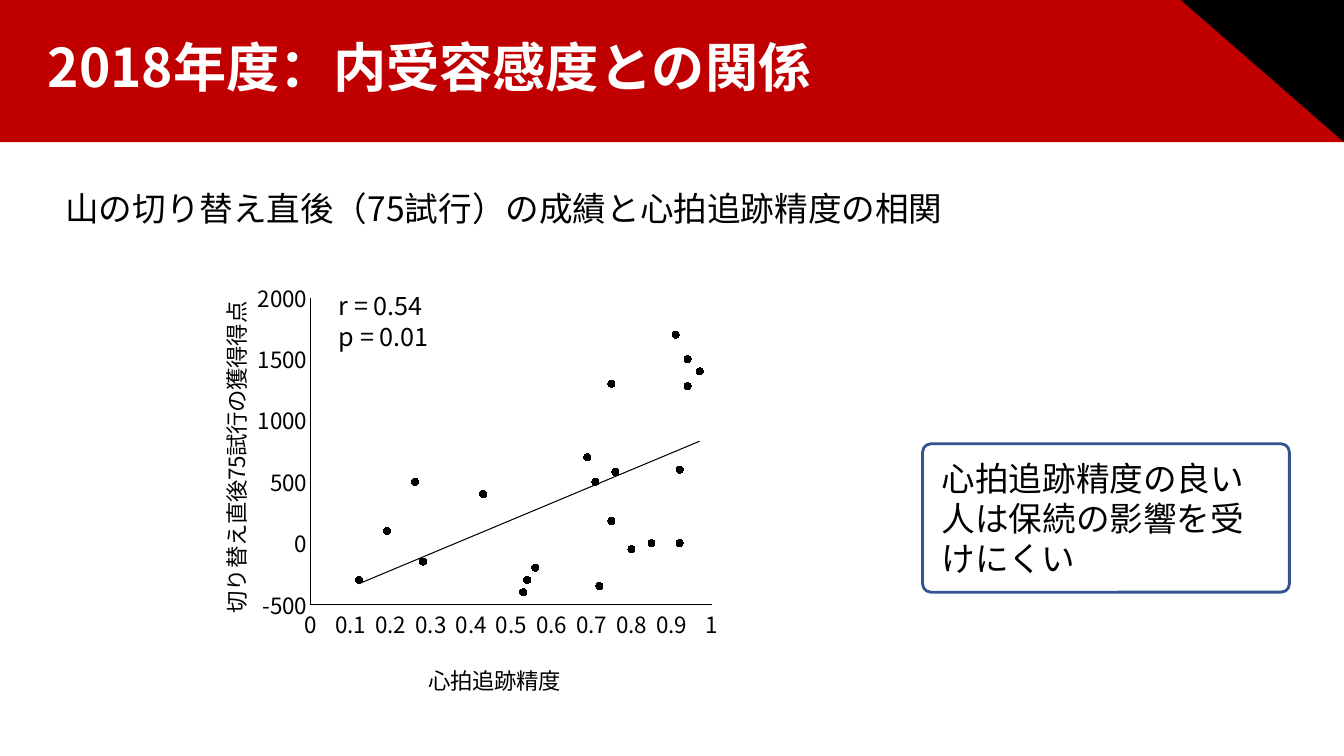
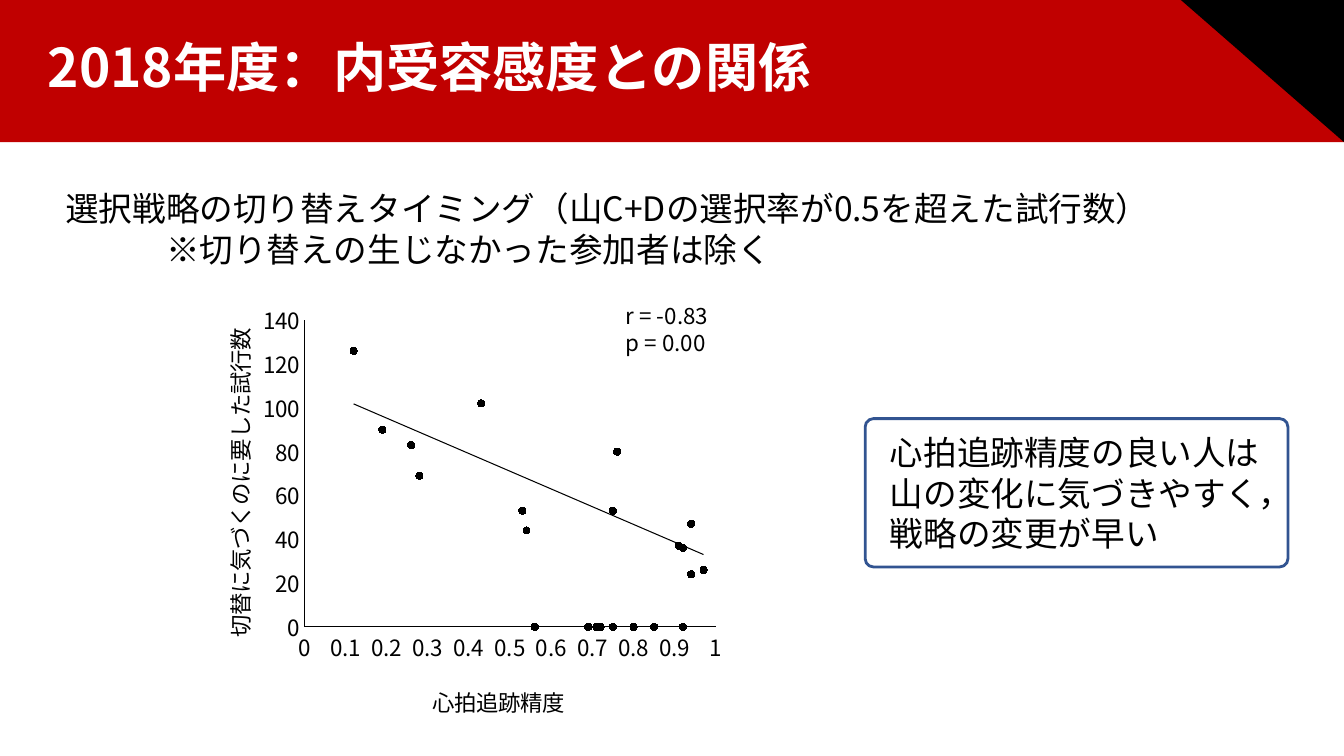
from lxml import etree
from pptx import Presentation
from pptx.chart.data import XyChartData
from pptx.dml.color import RGBColor
from pptx.enum.chart import XL_AXIS_CROSSES as Crosses
from pptx.enum.chart import XL_CHART_TYPE as ChartType
from pptx.enum.chart import XL_MARKER_STYLE as Marker
from pptx.enum.chart import XL_TICK_MARK as Tick
from pptx.enum.shapes import MSO_SHAPE as Shape
from pptx.enum.text import MSO_ANCHOR as Anchor
from pptx.enum.text import PP_ALIGN as Align
from pptx.oxml import parse_xml
from pptx.oxml.ns import nsdecls, qn
from pptx.util import Pt

# Shared style
FONT = "Noto Sans CJK JP"
RED, BLACK, WHITE, BLUE = "C00000", "000000", "FFFFFF", "325491"
SLIDE_WIDTH, SLIDE_HEIGHT = 960, 540
BAND_HEIGHT, CORNER_WIDTH = 101.5, 116.5
CHART_SIZE = (387, 313)
TITLE = "2018年度：内受容感度との関係"

# Heartbeat tracking accuracy of each participant, and the two measures
ACCURACY = [0.12, 0.19, 0.26, 0.28, 0.43, 0.53, 0.54, 0.56, 0.69, 0.71, 0.72,
            0.75, 0.75, 0.76, 0.8, 0.85, 0.91, 0.92, 0.92, 0.94, 0.94, 0.97]
SCORES = [-300, 100, 500, -150, 400, -400, -300, -200, 700, 500, -350,
          180, 1300, 580, -50, 0, 1700, 0, 600, 1500, 1280, 1400]
TRIALS = [126, 90, 83, 69, 102, 53, 44, None, None, None, None,
          53, None, 80, None, None, 37, 36, None, 24, 47, 26]


def color(hex_code):
    return RGBColor.from_string(hex_code)


def set_font(font, size, hex_code=BLACK, bold=False):
    font.name, font.size, font.bold = FONT, Pt(size), bold
    font.color.rgb = color(hex_code)


def write(frame, text, size=24, hex_code=BLACK, bold=False, spacing=None,
          indents=()):
    """Fill a text frame, one paragraph a line; indents go by paragraph."""
    frame.word_wrap = True
    for index, line in enumerate(text.split("\n")):
        para = frame.paragraphs[0] if index == 0 else frame.add_paragraph()
        para.alignment = Align.LEFT
        if spacing:
            para.line_spacing = spacing
        if index < len(indents):
            para._p.get_or_add_pPr().set("marL", str(Pt(indents[index])))
        span = para.add_run()
        span.text = line
        set_font(span.font, size, hex_code, bold)
        east_asian = etree.SubElement(span._r.get_or_add_rPr(), qn("a:ea"))
        east_asian.set("typeface", FONT)


def add_text(page, left, top, width, height, text, **style):
    box = page.shapes.add_textbox(Pt(left), Pt(top), Pt(width), Pt(height))
    write(box.text_frame, text, **style)


def add_block(page, kind, left, top, width, height, fill=None, line=None):
    block = page.shapes.add_shape(kind, Pt(left), Pt(top), Pt(width), Pt(height))
    block.shadow.inherit = False
    if fill:
        block.fill.solid()
        block.fill.fore_color.rgb = color(fill)
    else:
        block.fill.background()
    if line:
        block.line.color.rgb = color(line)
        block.line.width = Pt(2)
    else:
        block.line.fill.background()
    return block


def add_header(page):
    add_block(page, Shape.RECTANGLE, 0, 0, SLIDE_WIDTH, BAND_HEIGHT, fill=RED)
    corner = add_block(page, Shape.RIGHT_TRIANGLE, SLIDE_WIDTH - CORNER_WIDTH, 0,
                       CORNER_WIDTH, BAND_HEIGHT, fill=BLACK)
    corner.rotation = 180
    add_text(page, 27, 26, 861, 52, TITLE, size=38, hex_code=WHITE, bold=True,
             spacing=0.9)


def add_callout(page, left, top, width, text, inset):
    callout = add_block(page, Shape.ROUNDED_RECTANGLE, left, top, width, 106,
                        line=BLUE)
    callout.adjustments[0] = 0.056
    frame = callout.text_frame
    frame.margin_left = frame.margin_right = Pt(inset)
    frame.vertical_anchor = Anchor.MIDDLE
    write(frame, text)


def layout_xml(left, top, width=None, height=None):
    """Manual chart layout, in fractions of the chart area."""
    parts = [("xMode", "edge"), ("yMode", "edge"), ("x", left), ("y", top)]
    if width:
        parts = [("layoutTarget", "inner")] + parts + [("w", width), ("h", height)]
    inner = "".join(f'<c:{name} val="{value}"/>' for name, value in parts)
    return parse_xml(f'<c:layout {nsdecls("c")}><c:manualLayout>{inner}'
                     "</c:manualLayout></c:layout>")


def style_axis(axis, title, place, low, high, step, turned=False):
    axis.minimum_scale, axis.maximum_scale, axis.major_unit = low, high, step
    axis.has_major_gridlines = False
    axis.major_tick_mark = axis.minor_tick_mark = Tick.NONE
    axis.crosses = Crosses.MINIMUM
    axis.format.line.color.rgb = color(BLACK)
    axis.format.line.width = Pt(0.75)
    labels = axis.tick_labels
    labels.number_format, labels.number_format_is_linked = "General", False
    set_font(labels.font, 16)
    frame = axis.axis_title.text_frame
    write(frame, title, size=16)
    if turned:
        body = frame._txBody.find(qn("a:bodyPr"))
        body.set("rot", "-5400000")
        body.set("vert", "horz")
    element = axis.axis_title._element
    for old in element.findall(qn("c:layout")):
        element.remove(old)
    element.find(qn("c:tx")).addnext(layout_xml(*place))


def add_trend_line(series):
    trend = parse_xml(
        f'<c:trendline {nsdecls("c", "a")}><c:spPr><a:ln w="{Pt(0.75)}">'
        f'<a:solidFill><a:srgbClr val="{BLACK}"/></a:solidFill></a:ln></c:spPr>'
        '<c:trendlineType val="linear"/><c:dispRSqr val="0"/>'
        '<c:dispEq val="0"/></c:trendline>')
    series._element.find(qn("c:xVal")).addprevious(trend)


def add_scatter(page, left, top, values, plot, x_place, y_title, y_place, y_scale):
    data = XyChartData()
    points = data.add_series("Series 1")
    for accuracy, value in zip(ACCURACY, values):
        points.add_data_point(accuracy, value)
    chart = page.shapes.add_chart(ChartType.XY_SCATTER, Pt(left), Pt(top),
                                  *map(Pt, CHART_SIZE), data).chart
    chart.has_legend = chart.has_title = False
    set_font(chart.font, 16)

    # Markers and trend line
    series = chart.plots[0].series[0]
    series.format.line.fill.background()
    series.marker.style, series.marker.size = Marker.CIRCLE, 5
    series.marker.format.fill.solid()
    series.marker.format.fill.fore_color.rgb = color(BLACK)
    series.marker.format.line.color.rgb = color(BLACK)
    add_trend_line(series)

    # Missing values stay blank, so the trend skips them, but show at zero
    for point in list(series._element.iter(qn("c:pt"))):
        if point.findtext(qn("c:v")) in ("None", ""):
            point.getparent().remove(point)
    chart._chartSpace.chart.find(qn("c:dispBlanksAs")).set("val", "zero")

    # Axes and plot area
    style_axis(chart.category_axis, "心拍追跡精度", x_place, 0, 1, 0.1)
    style_axis(chart.value_axis, y_title, y_place, *y_scale, turned=True)
    area = chart._chartSpace.chart.plotArea
    for old in area.findall(qn("c:layout")):
        area.remove(old)
    area.insert(0, layout_xml(*plot))


def add_score_page(deck):
    page = deck.slides.add_slide(deck.slide_layouts[6])
    add_header(page)
    add_text(page, 39.5, 131, 647, 36,
             "山の切り替え直後（75試行）の成績と心拍追跡精度の相関")
    add_callout(page, 659, 317, 262,
                "心拍追跡精度の良い人は保続の影響を受けにくい", inset=12)
    add_scatter(page, 133, 194, SCORES, plot=(0.23, 0.06, 0.74, 0.7),
                x_place=(0.44, 0.88), y_title="切り替え直後75試行の獲得得点",
                y_place=(0.05, 0.06), y_scale=(-500, 2000, 500))
    add_text(page, 235, 204, 84, 51, "r = 0.54\np = 0.01", size=18)


def add_timing_page(deck):
    page = deck.slides.add_slide(deck.slide_layouts[6])
    add_header(page)
    add_text(page, 39.5, 131, 827, 65,
             "選択戦略の切り替えタイミング（山C+Dの選択率が0.5を超えた試行数）\n"
             "※切り替えの生じなかった参加者は除く", indents=(0, 72))
    add_callout(page, 618, 299, 302,
                "心拍追跡精度の良い人は山の変化に気づきやすく，戦略の変更が早い", inset=16)
    add_scatter(page, 136, 210, TRIALS, plot=(0.21, 0.06, 0.76, 0.7),
                x_place=(0.44, 0.88), y_title="切替に気づくのに要した試行数",
                y_place=(0.05, 0.07), y_scale=(0, 140, 20))
    add_text(page, 440, 212, 80, 46, "r = -0.83\np = 0.00", size=16)


def main():
    deck = Presentation()
    deck.slide_width, deck.slide_height = Pt(SLIDE_WIDTH), Pt(SLIDE_HEIGHT)
    add_score_page(deck)
    add_timing_page(deck)
    deck.save("out.pptx")


if __name__ == "__main__":
    main()
